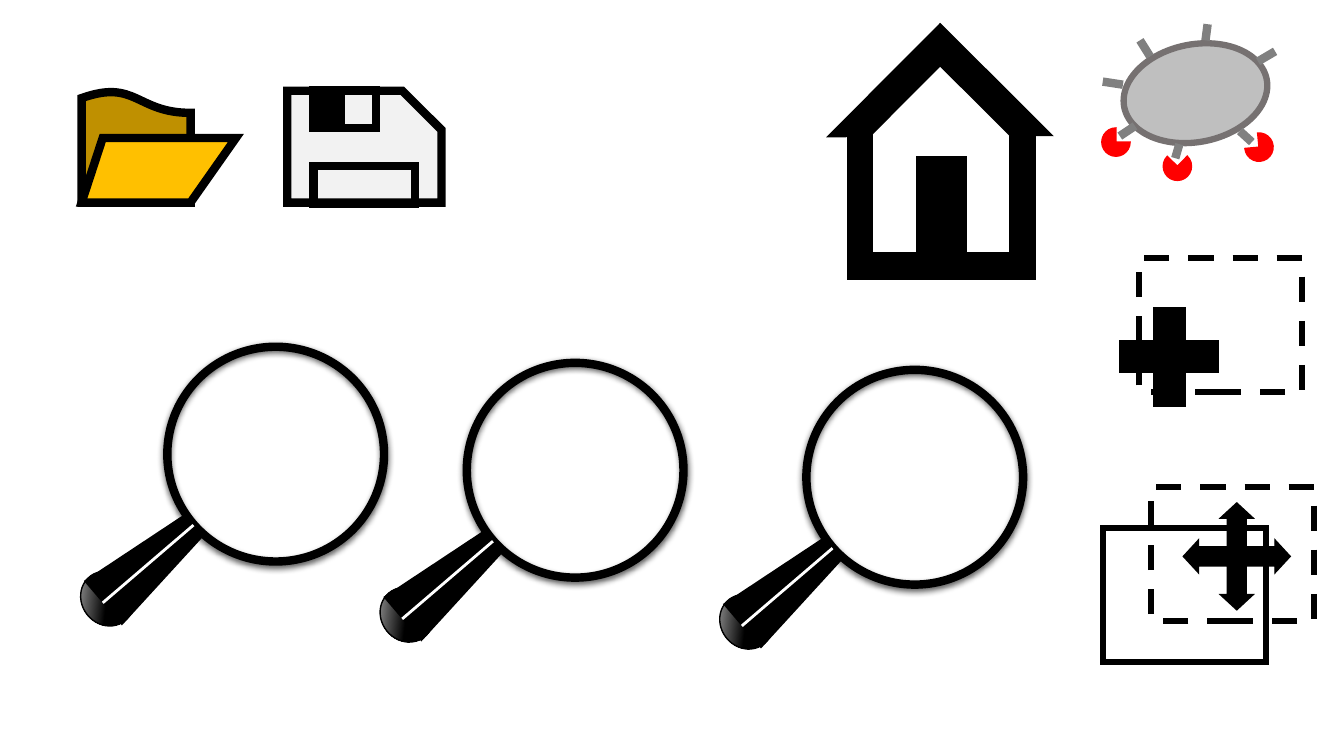
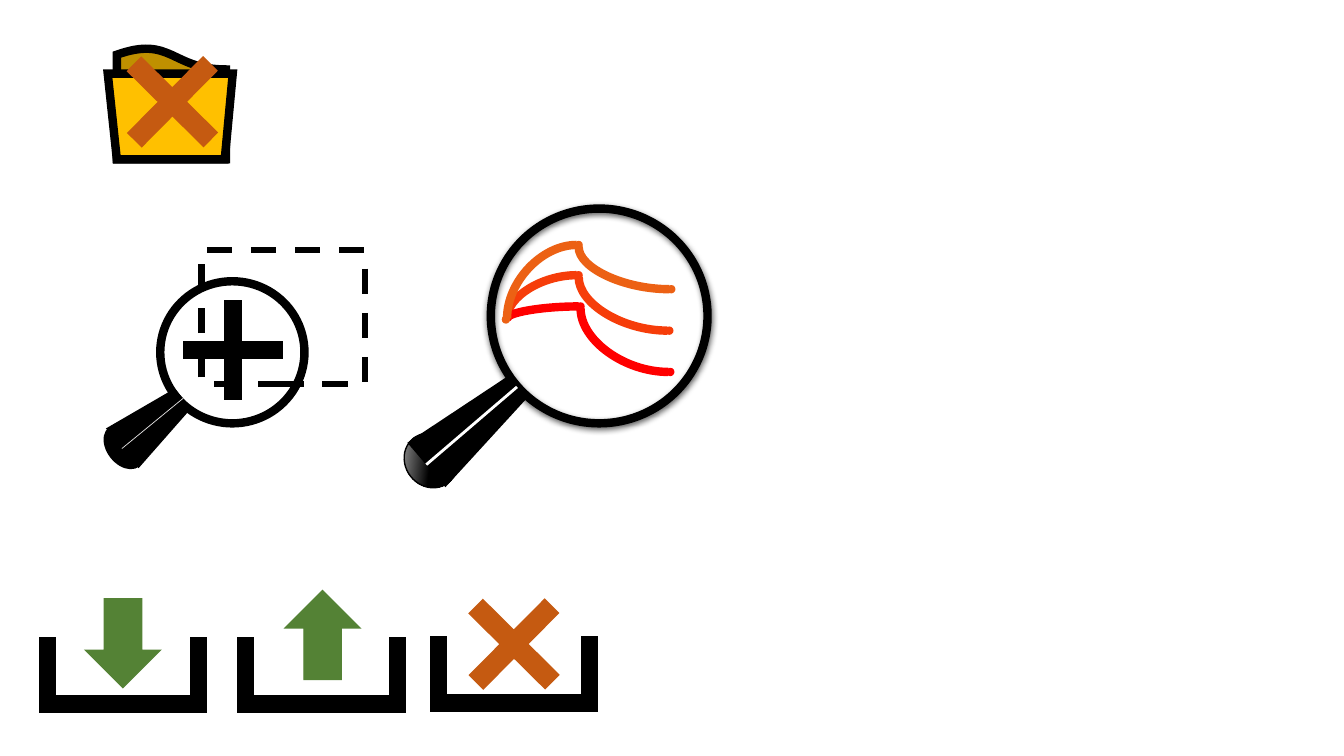
from lxml import etree
from pptx import Presentation
from pptx.dml.color import RGBColor
from pptx.enum.dml import MSO_LINE
from pptx.enum.shapes import MSO_CONNECTOR, MSO_SHAPE
from pptx.oxml.ns import qn
from pptx.util import Pt

ELLIPSE, RECT, PIE = MSO_SHAPE.OVAL, MSO_SHAPE.RECTANGLE, MSO_SHAPE.PIE
CORNER, ROOF, PLUS = MSO_SHAPE.CORNER, MSO_SHAPE.HALF_FRAME, MSO_SHAPE.CROSS
QUAD_ARROW, DOWN_ARROW = MSO_SHAPE.QUAD_ARROW, MSO_SHAPE.DOWN_ARROW
DOCUMENT, SNIP = MSO_SHAPE.FLOWCHART_DOCUMENT, MSO_SHAPE.SNIP_1_RECTANGLE
TRAPEZOID = MSO_SHAPE.TRAPEZOID
STRAIGHT, CURVE = MSO_CONNECTOR.STRAIGHT, MSO_CONNECTOR.CURVE
DASH = MSO_LINE.DASH

COLORS = {
    "black": "000000", "white": "FFFFFF", "pale": "F2F2F2", "shine": "E7E6E6",
    "silver": "BFBFBF", "gray": "808080", "rim": "767171", "red": "FF0000",
    "vermilion": "F63D0A", "orange": "EC6114", "rust": "C55A11",
    "green": "548235", "gold": "FFC000", "ochre": "BF9000", "blue": "5B9BD5",
}
THICK, MEDIUM, THIN = 6, 4.5, 1
BOX = (116.6, 95.8)


def rgb(name):
    return RGBColor.from_string(COLORS[name])


class Icons:
    """Holds the presentation and the slide being drawn on."""

    def __init__(self):
        self.prs = Presentation()
        self.prs.slide_width, self.prs.slide_height = Pt(960), Pt(540)

    def new_slide(self):
        self.s = self.prs.slides.add_slide(self.prs.slide_layouts[6])

    # Basic elements
    def outline(self, line, color, width):
        line.color.rgb = rgb(color)
        line.width = Pt(width)
        ln = line._get_or_add_ln()
        etree.SubElement(ln, qn("a:miter"), lim="800000")

    def finish(self, sp, fill, line, width):
        sp.shadow.inherit = False
        if fill:
            sp.fill.solid()
            sp.fill.fore_color.rgb = rgb(fill)
        else:
            sp.fill.background()
        if line:
            self.outline(sp.line, line, width)
        else:
            sp.line.fill.background()
        return sp

    def shape(self, kind, x, y, w, h, fill=None, line="black", width=THIN,
              adj=(), rot=0, flip=""):
        sp = self.s.shapes.add_shape(kind, Pt(x), Pt(y), Pt(w), Pt(h))
        for i, value in enumerate(adj):
            sp.adjustments[i] = value
        sp.rotation = rot
        self.flip(sp, flip)
        return self.finish(sp, fill, line, width)

    def flip(self, sp, axes):
        for axis in axes:
            sp._element.spPr.xfrm.set("flip" + axis, "1")

    def polygon(self, points, fill):
        pts = [(Pt(x), Pt(y)) for x, y in points]
        builder = self.s.shapes.build_freeform(*pts[0], scale=1.0)
        builder.add_line_segments(pts[1:], close=True)
        self.finish(builder.convert_to_shape(), fill, "black", THICK)

    def line(self, x1, y1, x2, y2, color, width, kind=STRAIGHT):
        c = self.s.shapes.add_connector(kind, Pt(x1), Pt(y1), Pt(x2), Pt(y2))
        self.outline(c.line, color, width)
        etree.SubElement(c._element.spPr, qn("a:effectLst"))
        return c

    def curve(self, x1, y1, x2, y2, color):
        """Quarter bend to the right that leaves vertically."""
        mx, my = (x1 + x2) / 2, (y1 + y2) / 2
        half_w, half_h = abs(y2 - y1) / 2, (x2 - x1) / 2
        c = self.line(mx - half_w, my - half_h, mx + half_w, my + half_h,
                      color, THICK, CURVE)
        c._element.spPr.find(qn("a:prstGeom")).set("prst", "curvedConnector2")
        rot, axes = (90, "HV") if y2 < y1 else (270, "H")
        c._element.spPr.xfrm.set("rot", str(rot * 60000))
        self.flip(c, axes)

    # Icon parts
    def dot(self, x, y, color):
        self.shape(ELLIPSE, x - 1.44, y - 1.44, 2.88, 2.88, "blue", color, 3)

    def box(self, x, y, dashed=True):
        sp = self.shape(RECT, x, y, *BOX, width=MEDIUM)
        if dashed:
            sp.line.dash_style = DASH

    def walls(self, x, y, w, h, gap):
        for left, flip in ((x, ""), (x + gap, "H")):
            self.shape(CORNER, left, y, w, h, "black", adj=(0.223, 0.212),
                       flip=flip)

    def tray(self, x, y):
        self.walls(x, y, 74.9, 53.3, 44.6)

    def cross(self, x, y):
        self.shape(QUAD_ARROW, x, y, 76.3, 76.3, "rust", "rust",
                   adj=(0.399, 0.091, 0), rot=314.7)

    def folder(self, x, y, front):
        self.shape(DOCUMENT, x, y, 77.8, 79.9, "ochre", width=THICK, flip="V")
        self.polygon(front, "gold")

    def magnifier(self, x, y):
        lens = self.shape(ELLIPSE, x + 61.2, y, 154.8, 153.4, width=THICK)
        effects = lens._element.spPr.find(qn("a:effectLst"))
        shadow = etree.SubElement(effects, qn("a:outerShdw"), dir="5400000",
                                  blurRad=str(Pt(4.5)), dist=str(Pt(1.5)),
                                  algn="ctr", rotWithShape="0")
        color = etree.SubElement(shadow, qn("a:srgbClr"), val=COLORS["black"])
        etree.SubElement(color, qn("a:alpha"), val="63000")

        cap = self.shape(ELLIPSE, x, y + 159.8, 36.7, 40.3, "black", rot=321.8)
        cap.fill.gradient()
        cap.fill.gradient_angle = 315
        stops = cap.fill.gradient_stops
        for stop, name, position in zip(stops, ("silver", "black"), (0, 0.5)):
            stop.color.rgb = rgb(name)
            stop.position = position
        self.shape(TRAPEZOID, x + 26.6, y + 113, 41.8, 85, "black", None,
                   rot=49.5)
        self.line(x + 15.1, y + 182.9, x + 79.9, y + 127.4, "white", 2)


def tools_slide(d):
    d.new_slide()
    # Microbe
    d.shape(ELLIPSE, 802.1, 31.7, 103.7, 69.8, "silver", "rim", MEDIUM,
            rot=348.9)
    for x, y, rot in ((787, 91.4, 0), (830.9, 108.7, 314.5),
                      (889.2, 95, 264.6)):
        d.shape(PIE, x, y, 20.2, 20.2, "red", "red", rot=rot)
    for ends in ((842.4, 103, 839.5, 113), (885.6, 93.6, 894.2, 101.5),
                 (810.7, 90, 799.9, 97.2), (802.1, 60.5, 787.7, 58.3),
                 (862.6, 17.3, 861.1, 28.8), (910.8, 36.7, 898.6, 43.9),
                 (814.3, 28.8, 821.5, 40.3)):
        d.line(*ends, "gray", THICK)
    # Move selection
    d.box(822.2, 347.8)
    d.box(787.7, 377.3, dashed=False)
    d.shape(QUAD_ARROW, 845.3, 359.3, 76.3, 76.3, "black",
            adj=(0.177, 0.154, 0.142))
    # Open folder
    d.folder(58.3, 64.8, ((58.3, 144.7), (73.4, 98.6), (168.5, 98.6),
                          (136.1, 144.7)))
    # Floppy disk
    d.shape(SNIP, 205.2, 64.8, 110.2, 79.9, "pale", width=THICK, adj=(0.351,))
    for x, y, w, fill in ((223.9, 64.8, 44.6, None),
                          (224.6, 64.8, 18.7, "black"),
                          (223.9, 118.8, 72.7, None)):
        d.shape(RECT, x, y, w, 26.6, fill, width=THICK)
    # House
    d.walls(605.5, 96.5, 84.2, 103, 49.7)
    d.shape(ROOF, 614.9, 40.3, 113, 113.8, "black", adj=(0.188, 0.187),
            rot=44.9)
    d.shape(RECT, 654.5, 111.6, 36, 75.6, "black")
    # Add selection
    d.shape(PLUS, 799.9, 219.6, 70.6, 70.6, "black", adj=(0.34,))
    d.box(813.6, 184.3)
    # Magnifiers
    for x, y in ((58.3, 247.7), (272.2, 259.2), (514.8, 264.2)):
        d.magnifier(x, y)


def actions_slide(d):
    d.new_slide()
    # Waves under a magnifier
    for color, (cx, cy), (tx, ty) in (
            ("vermilion", (413.3, 196.6), (478.1, 236.2)),
            ("red", (414.7, 218.9), (478.8, 265.7)),
            ("orange", (413.3, 175), (479.5, 206.6))):
        d.dot(cx, cy, color)
        d.dot(tx, ty, color)
        d.curve(362.2, 227.5, cx - 1.44, cy, color)
        d.curve(cx, cy + 1.44, tx - 1.44, ty, color)
    d.dot(361.4, 228.2, "orange")
    d.magnifier(289.4, 149)
    # Trays: import, delete, export
    d.tray(28.1, 455.8)
    d.shape(DOWN_ARROW, 61.2, 427.7, 53.3, 63.4, "green", "green")
    d.tray(307.4, 455)
    d.cross(329, 421.9)
    d.tray(169.9, 455.8)
    d.shape(DOWN_ARROW, 203.8, 421.9, 53.3, 63.4, "green", "green", flip="V")
    # Closed folder
    d.folder(83.5, 33.8, ((83.5, 113.8), (77, 52.6), (166.3, 52.6),
                          (160.6, 113.8)))
    d.cross(85, 34.6)
    # Zoom to selection
    d.shape(ELLIPSE, 76.3, 301.7, 24.5, 35.3, "black", None, rot=321.8)
    d.shape(ELLIPSE, 114.5, 200.9, 103, 101.5, width=THICK)
    d.shape(TRAPEZOID, 90.7, 274.3, 36.7, 56.2, "black", None, rot=50.6)
    d.line(87.1, 320.4, 131, 284.4, "shine", 0.5)
    d.shape(PLUS, 131, 214.6, 70.6, 70.6, "black", adj=(0.417,))
    d.box(144, 178.6)


def main():
    d = Icons()
    tools_slide(d)
    actions_slide(d)
    d.prs.save("out.pptx")


if __name__ == "__main__":
    main()
